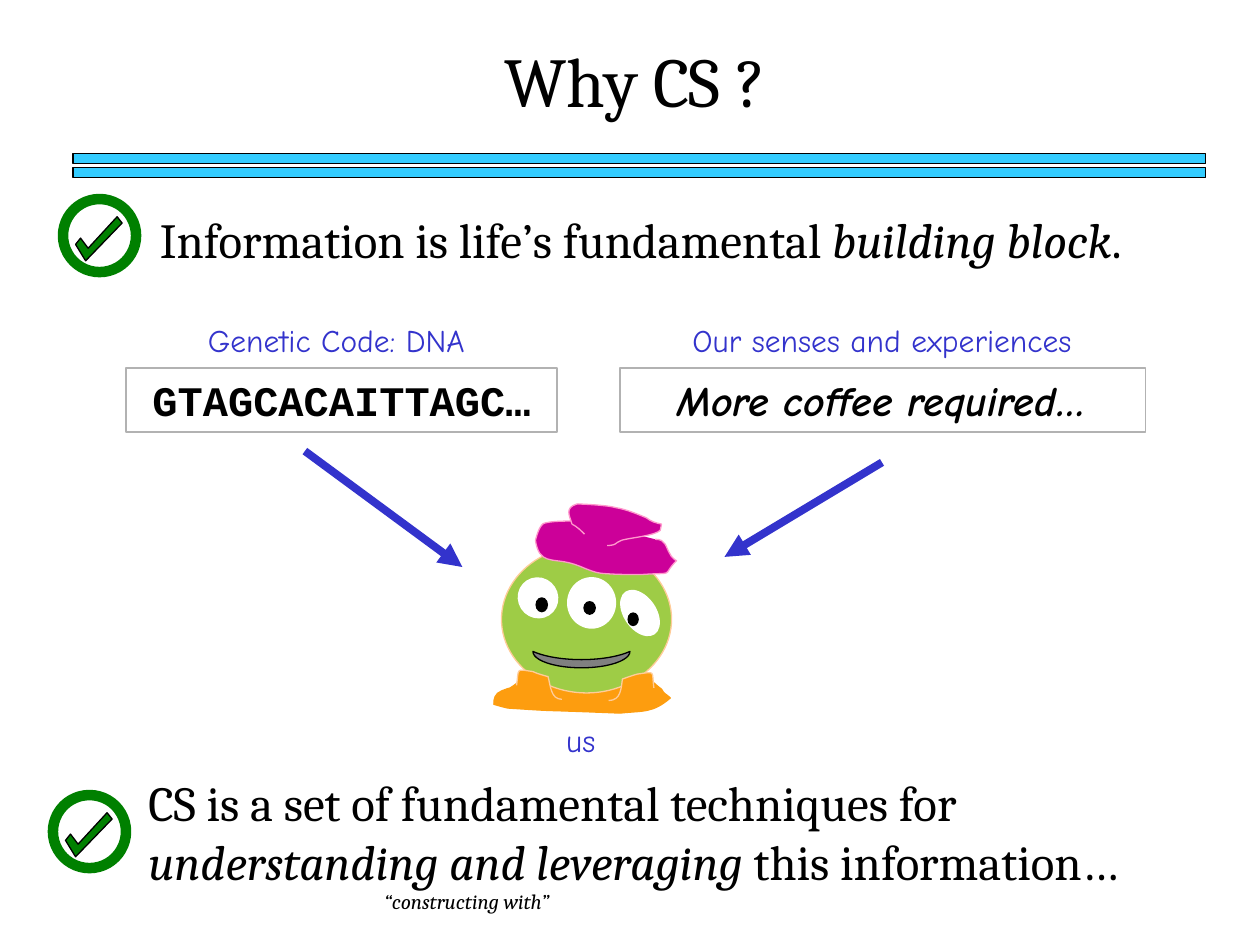
from dataclasses import dataclass
from typing import Optional

from lxml import etree
from pptx import Presentation
from pptx.dml.color import RGBColor
from pptx.enum import shapes, text
from pptx.oxml.ns import qn
from pptx.util import Inches, Pt

BLACK = RGBColor(0x00, 0x00, 0x00)
WHITE = RGBColor(0xFF, 0xFF, 0xFF)
GRAY = RGBColor(0x80, 0x80, 0x80)
SILVER = RGBColor(0xB2, 0xB2, 0xB2)
SKY = RGBColor(0x33, 0xCC, 0xFF)
BLUE = RGBColor(0x33, 0x33, 0xCC)
GREEN = RGBColor(0x00, 0x80, 0x00)
LIME = RGBColor(0x9E, 0xCC, 0x46)
ORANGE = RGBColor(0xFD, 0x9D, 0x0F)
PEACH = RGBColor(0xFF, 0xCC, 0x99)
MAGENTA = RGBColor(0xCC, 0x00, 0x99)
PINK = RGBColor(0xFF, 0x99, 0xCC)
SERIF, COMIC, MONO = "Cambria", "Comic Neue", "Courier New"
RECT, OVAL = shapes.MSO_SHAPE.RECTANGLE, shapes.MSO_SHAPE.OVAL
CENTER = text.PP_ALIGN.CENTER


@dataclass
class Shape:
    box: tuple
    fill: Optional[RGBColor] = None
    line: Optional[RGBColor] = None
    width: float = 0.75
    kind: int = OVAL
    rotation: float = 0


@dataclass
class Outline:
    start: tuple
    segments: list
    fill: RGBColor
    line: RGBColor
    close: bool = False


def paint(sp, fill, line, width=0.75):
    sp.shadow.inherit = False
    if fill is None:
        sp.fill.background()
    else:
        sp.fill.solid()
        sp.fill.fore_color.rgb = fill
    if line is None:
        sp.line.fill.background()
    else:
        sp.line.color.rgb = line
        sp.line.width = Pt(width)


def draw_shape(parent, item: Shape):
    sp = parent.shapes.add_shape(item.kind, *map(Inches, item.box))
    paint(sp, item.fill, item.line, item.width)
    sp.rotation = item.rotation
    return sp


def curve_lines(sp, segments: list) -> None:
    lines = iter(list(sp._element.iter(qn("a:lnTo"))))
    for seg in segments:
        first, *others = [next(lines) for _ in range(len(seg) // 2)]
        if others:
            first.tag = qn("a:cubicBezTo")
        for line in others:
            first.append(line[0])
            line.getparent().remove(line)


def draw_outline(parent, item: Outline) -> None:
    points = [item.start] + [seg[i:i + 2] for seg in item.segments for i in range(0, len(seg), 2)]
    corners = [(Inches(x), Inches(y)) for x, y in points]
    builder = parent.shapes.build_freeform(*corners[0])
    builder.add_line_segments(corners[1:], close=item.close)
    sp = builder.convert_to_shape()
    curve_lines(sp, item.segments)
    paint(sp, item.fill, item.line)


def write(sp, *runs: str, size: float, font: str = SERIF, color: RGBColor = BLACK, bold: bool = False,
          italics: tuple = (), align=text.PP_ALIGN.LEFT, wrap: bool = True) -> None:
    tf = sp.text_frame
    tf.word_wrap = wrap
    tf.auto_size = text.MSO_AUTO_SIZE.SHAPE_TO_FIT_TEXT
    tf.vertical_anchor = text.MSO_ANCHOR.TOP
    p = tf.paragraphs[0]
    p.alignment = align
    for i, words in enumerate(runs):
        r = p.add_run()
        r.text = words
        r.font.size, r.font.name, r.font.color.rgb = Pt(size), font, color
        r.font.bold, r.font.italic = bold, i in italics


def add_text(s, box: tuple, *runs: str, **style) -> None:
    write(s.shapes.add_textbox(*map(Inches, box)), *runs, **style)


def add_framed_text(s, box: tuple, words: str, **style) -> None:
    sp = draw_shape(s, Shape(box, line=SILVER, kind=RECT))
    write(sp, words, size=24, bold=True, align=CENTER, **style)


def add_arrow(s, start: tuple, end: tuple) -> None:
    c = s.shapes.add_connector(shapes.MSO_CONNECTOR.STRAIGHT, *map(Inches, start + end))
    c.line.color.rgb = BLUE
    c.line.width = Pt(4.5)
    etree.SubElement(c.line._get_or_add_ln(), qn("a:tailEnd"), type="triangle")
    etree.SubElement(c._element.spPr, qn("a:effectLst"))


def add_check(s, x: float, y: float) -> None:
    group = s.shapes.add_group_shape()
    draw_shape(group, Shape((x, y, 0.58, 0.58), line=GREEN, width=6))
    tick = [(0.1, 0.36), (0.18, 0.49), (0.47, 0.19), (0.43, 0.14), (0.2, 0.39), (0.14, 0.31)]
    corners = [(x + dx, y + dy) for dx, dy in tick]
    draw_outline(group, Outline(corners[0], corners[1:], GREEN, BLACK, close=True))


SHIRT = Outline((4.63, 5.27), [
    (4.82, 5.23, 4.96, 5.32, 5.14, 5.37), (5.16, 5.39, 5.17, 5.41, 5.19, 5.42),
    (5.21, 5.44, 5.25, 5.47, 5.25, 5.47), (5.27, 5.51, 5.29, 5.51, 5.32, 5.54),
    (5.18, 5.66, 5.11, 5.64, 4.92, 5.66), (4.19, 5.63, 4.49, 5.65, 4.03, 5.62),
    (3.99, 5.61, 3.95, 5.6, 3.92, 5.59), (3.92, 5.57, 3.92, 5.55, 3.93, 5.53),
    (3.94, 5.49, 4.02, 5.47, 4.05, 5.46), (4.1, 5.43, 4.14, 5.39, 4.19, 5.36),
    (4.24, 5.33, 4.24, 5.36, 4.29, 5.32), (4.3, 5.31, 4.33, 5.29, 4.35, 5.28),
    (4.37, 5.27, 4.43, 5.25, 4.43, 5.25), (4.48, 5.26, 4.54, 5.27, 4.59, 5.28),
    (4.63, 5.28, 4.61, 5.31, 4.63, 5.27)], ORANGE, ORANGE, close=True)
HEAD = [
    Shape((3.98, 4.33, 1.35, 1.17), LIME, PEACH),
    Shape((4.11, 4.58, 0.32, 0.33), WHITE, rotation=327.2),
    Shape((4.5, 4.58, 0.39, 0.41), WHITE),
    Shape((4.95, 4.66, 0.26, 0.41), WHITE, rotation=325.5),
    Shape((4.25, 4.74, 0.1, 0.12), BLACK),
    Shape((4.63, 4.77, 0.1, 0.11), BLACK),
    Shape((4.98, 4.86, 0.09, 0.11), BLACK),
    Shape((4.55, 4.85, 0.13, 0.77), GRAY, BLACK, kind=shapes.MSO_SHAPE.MOON, rotation=270),
]
HAT_AND_COLLAR = [
    Outline((4.61, 4.13), [
        (4.52, 4.14, 4.42, 4.13, 4.33, 4.15), (4.28, 4.15, 4.25, 4.29, 4.25, 4.29),
        (4.28, 4.48, 4.38, 4.43, 4.53, 4.47), (4.61, 4.49, 4.69, 4.54, 4.77, 4.55),
        (4.88, 4.56, 4.98, 4.56, 5.09, 4.56), (5.38, 4.54, 5.24, 4.58, 5.37, 4.45),
        (5.36, 4.45, 5.32, 4.41, 5.32, 4.4), (5.28, 4.34, 5.29, 4.28, 5.2, 4.28)], MAGENTA, PINK),
    Outline((4.64, 4.24), [
        (4.61, 4.21, 4.58, 4.18, 4.54, 4.16), (4.52, 4.09, 4.48, 4.03, 4.58, 4),
        (4.61, 4, 4.83, 4.01, 4.89, 4.03), (4.96, 4.04, 5.06, 4.08, 5.13, 4.11),
        (5.17, 4.14, 5.2, 4.15, 5.25, 4.16), (5.24, 4.18, 5.25, 4.2, 5.24, 4.21),
        (5.2, 4.25, 5.01, 4.27, 4.97, 4.28), (4.95, 4.28, 4.94, 4.29, 4.93, 4.29),
        (4.91, 4.3, 4.89, 4.31, 4.88, 4.32), (4.86, 4.33, 4.82, 4.33, 4.82, 4.33)], MAGENTA, PINK),
    Outline((4.1, 5.44), [
        (4.12, 5.3, 4.09, 5.31, 4.23, 5.33), (4.27, 5.35, 4.35, 5.37, 4.35, 5.37),
        (4.37, 5.44, 4.37, 5.55, 4.46, 5.55)], ORANGE, PEACH),
    Outline((5.19, 5.46), [
        (5.17, 5.32, 5.21, 5.33, 5.06, 5.35), (5.02, 5.36, 4.94, 5.39, 4.94, 5.39),
        (4.93, 5.46, 4.93, 5.56, 4.83, 5.56)], ORANGE, PEACH),
]


def main() -> None:
    prs = Presentation()
    prs.slide_width, prs.slide_height = Inches(10), Inches(7.5)
    s = prs.slides.add_slide(prs.slide_layouts[6])

    bars = s.shapes.add_group_shape()
    for y in (1.22, 1.33):
        draw_shape(bars, Shape((0.58, y, 8.99, 0.08), SKY, BLACK, kind=RECT))
    add_text(s, (2.58, 0.25, 4.92, 0.77), "Why CS ?", size=40, align=CENTER)
    add_text(s, (1.17, 1.61, 7.89, 0.57), "Information is life’s fundamental ", "building block", ".",
             size=28, italics=(1,))
    add_text(s, (1.08, 6.08, 8.58, 1.03), "CS is a set of fundamental techniques for ",
             "understanding and leveraging", " this information…", size=28, italics=(1,))
    add_check(s, 0.5, 1.58)
    add_check(s, 0.42, 6.31)

    for box, label in [((0.92, 2.5, 3.5, 0.4), "Genetic Code: DNA"),
                       ((4.75, 2.5, 4.5, 0.4), "Our senses and experiences"),
                       ((3.61, 5.67, 2, 0.4), "us")]:
        add_text(s, box, label, size=18, font=COMIC, color=BLUE, align=CENTER)
    add_framed_text(s, (1, 2.92, 3.42, 0.51), "GTAGCACAITTAGC…", font=MONO)
    add_framed_text(s, (4.92, 2.92, 4.17, 0.51), "More coffee required…", font=COMIC, italics=(0,))
    add_arrow(s, (2.42, 3.58), (3.67, 4.5))
    add_arrow(s, (7, 3.67), (5.75, 4.42))

    alien = s.shapes.add_group_shape()
    draw_outline(alien, SHIRT)
    for part in HEAD:
        draw_shape(alien, part)
    for part in HAT_AND_COLLAR:
        draw_outline(alien, part)
    add_text(s, (2.95, 7, 1.55, 0.3), "“constructing with”", size=12, italics=(0,), wrap=False)
    prs.save("out.pptx")


if __name__ == "__main__":
    main()
